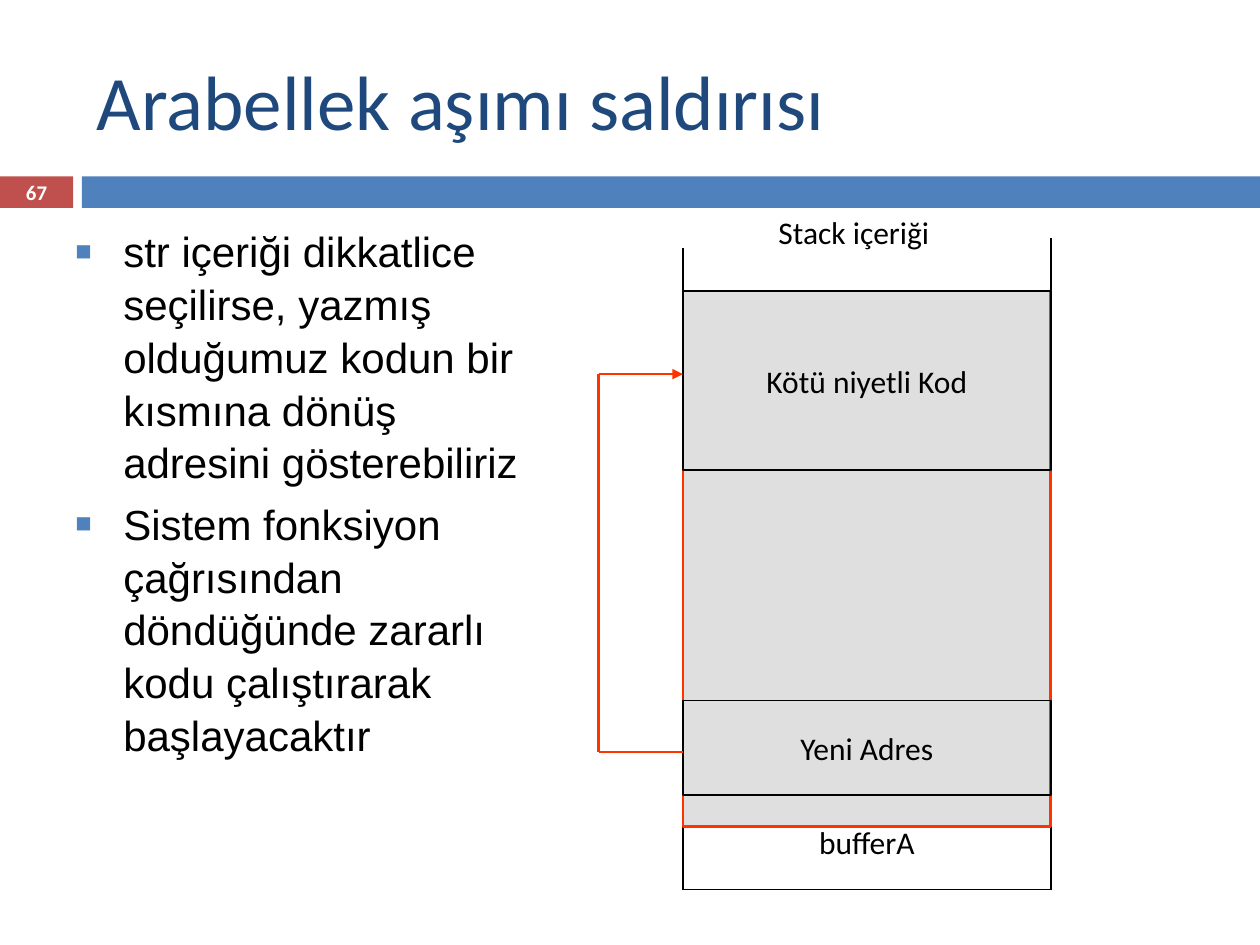
from lxml import etree
from pptx import Presentation
from pptx import util as u
from pptx.dml import color
from pptx.enum import shapes, text
from pptx.oxml import ns

Inches = u.Inches
COLORS = {"navy": "1F497D", "blue": "4F81BD", "red": "C0504D", "arrow": "FF3300",
          "gray": "C0C0C0", "black": "000000", "white": "FFFFFF"}
CENTER = text.PP_ALIGN.CENTER
MIDDLE = text.MSO_ANCHOR.MIDDLE


def rgb(name):
    return color.RGBColor.from_string(COLORS[name])


def add_element(parent, tag, **attributes):
    return etree.SubElement(parent, ns.qn(tag), attributes)


def write(para, words, ink="black", **font):
    para.add_run().text = words
    settings = {"name": "Calibri", "size": u.Pt(18), **font}
    for key, value in settings.items():
        setattr(para.font, key, value)
    para.font.color.rgb = rgb(ink)


def add_text(page, box, words, anchor=text.MSO_ANCHOR.TOP, align=None, ink="black", **font):
    frame = page.shapes.add_textbox(*map(Inches, box)).text_frame
    frame.word_wrap = True
    frame.vertical_anchor = anchor
    frame.paragraphs[0].alignment = align
    write(frame.paragraphs[0], words, ink, **font)


def add_block(page, box, fill=None, line=None, width=1, label=None, alpha=None):
    block = page.shapes.add_shape(shapes.MSO_SHAPE.RECTANGLE, *map(Inches, box))
    block.shadow.inherit = False
    if fill:
        block.fill.solid()
        block.fill.fore_color.rgb = rgb(fill)
        if alpha:
            tint = block.fill._xPr.find(".//" + ns.qn("a:srgbClr"))
            add_element(tint, "a:alpha", val=str(alpha * 1000))
    else:
        block.fill.background()
    if line:
        block.line.color.rgb = rgb(line)
        block.line.width = u.Pt(width)
    else:
        block.line.fill.background()
    if label:
        frame = block.text_frame
        frame.word_wrap = False
        frame.vertical_anchor = MIDDLE
        frame.paragraphs[0].alignment = CENTER
        write(frame.paragraphs[0], label)


def add_line(page, start, end, ink="black", width=1, arrow=False):
    line = page.shapes.add_connector(shapes.MSO_CONNECTOR.STRAIGHT,
                                     *map(Inches, (*start, *end)))
    line.line.color.rgb = rgb(ink)
    line.line.width = u.Pt(width)
    if arrow:
        add_element(line.line._get_or_add_ln(), "a:tailEnd", type="triangle")
    add_element(line._element.spPr, "a:effectLst")


def add_header(page, left, top, width):
    number_width, bar_left, bar_top, bar_height = 0.58, 0.65, top + 1.4, 0.25
    add_block(page, (left, bar_top, number_width, bar_height), "red")
    add_block(page, (left + bar_left, bar_top, width - bar_left, bar_height), "blue")
    add_text(page, (left + 0.67, top + 0.25, 8.92, 1.08), "Arabellek aşımı saldırısı",
             MIDDLE, ink="navy", size=u.Pt(44))
    add_text(page, (left, bar_top - 0.01, number_width, 0.27), "67", MIDDLE, CENTER,
             "white", size=u.Pt(11.9), bold=True)


def add_bullets(page, box, items):
    frame = page.shapes.add_textbox(*map(Inches, box)).text_frame
    frame.word_wrap = True
    for index, item in enumerate(items):
        para = frame.add_paragraph() if index else frame.paragraphs[0]
        para.line_spacing = 1.05
        if index:
            para.space_before = u.Pt(4.8)
        properties = para._p.get_or_add_pPr()
        indent = Inches(0.38)
        properties.set("marL", str(indent))
        properties.set("indent", str(-indent))
        add_element(add_element(properties, "a:buClr"), "a:srgbClr", val=COLORS["blue"])
        add_element(properties, "a:buSzPct", val="65000")
        add_element(properties, "a:buFont", typeface="Arial")
        add_element(properties, "a:buChar", char="■")
        write(para, item, name="Arial", size=u.Pt(24))


def add_stack(page, left, top, width, height):
    """Draw the stack, its overwritten part and the jump from return address to code."""
    right, bottom = left + width, top + height
    code_top, buffer_height = top + 0.42, 0.75
    buffer_top = bottom - buffer_height
    add_line(page, (left, bottom), (right, bottom))
    add_block(page, (left, buffer_top, width, buffer_height), line="black", label="bufferA")
    add_line(page, (left, top + 0.08), (left, bottom))
    add_line(page, (right, top), (right, bottom))
    add_text(page, (left + 0.66, top - 0.25, 2.17, 0.4), "Stack içeriği")
    add_block(page, (left, code_top, width, 4.25), "gray", "arrow", 1.5, alpha=50)
    add_block(page, (left, code_top, width, 1.42), line="black", label="Kötü niyetli Kod")
    add_block(page, (left, buffer_top - buffer_height, width, buffer_height),
              line="black", label="Yeni Adres")

    outer, target, source = left - 0.67, code_top + 0.66, buffer_top - 0.34
    add_line(page, (left, source), (outer, source), "arrow", 1.5)
    add_line(page, (outer, source), (outer, target), "arrow", 1.5)
    add_line(page, (outer, target), (left, target), "arrow", 1.5, arrow=True)


def main():
    deck = Presentation()
    deck.slide_width, deck.slide_height = Inches(10), Inches(7.5)
    page = deck.slides.add_slide(deck.slide_layouts[6])
    add_header(page, 0, 0, 10)
    add_stack(page, 5.42, 1.89, 2.92, 5.17)
    add_bullets(page, (0.5, 1.72, 3.75, 4.76), [
        "str içeriği dikkatlice seçilirse, yazmış olduğumuz kodun bir kısmına dönüş "
        "adresini gösterebiliriz",
        "Sistem fonksiyon çağrısından döndüğünde zararlı kodu çalıştırarak başlayacaktır",
    ])
    deck.save("out.pptx")


if __name__ == "__main__":
    main()
